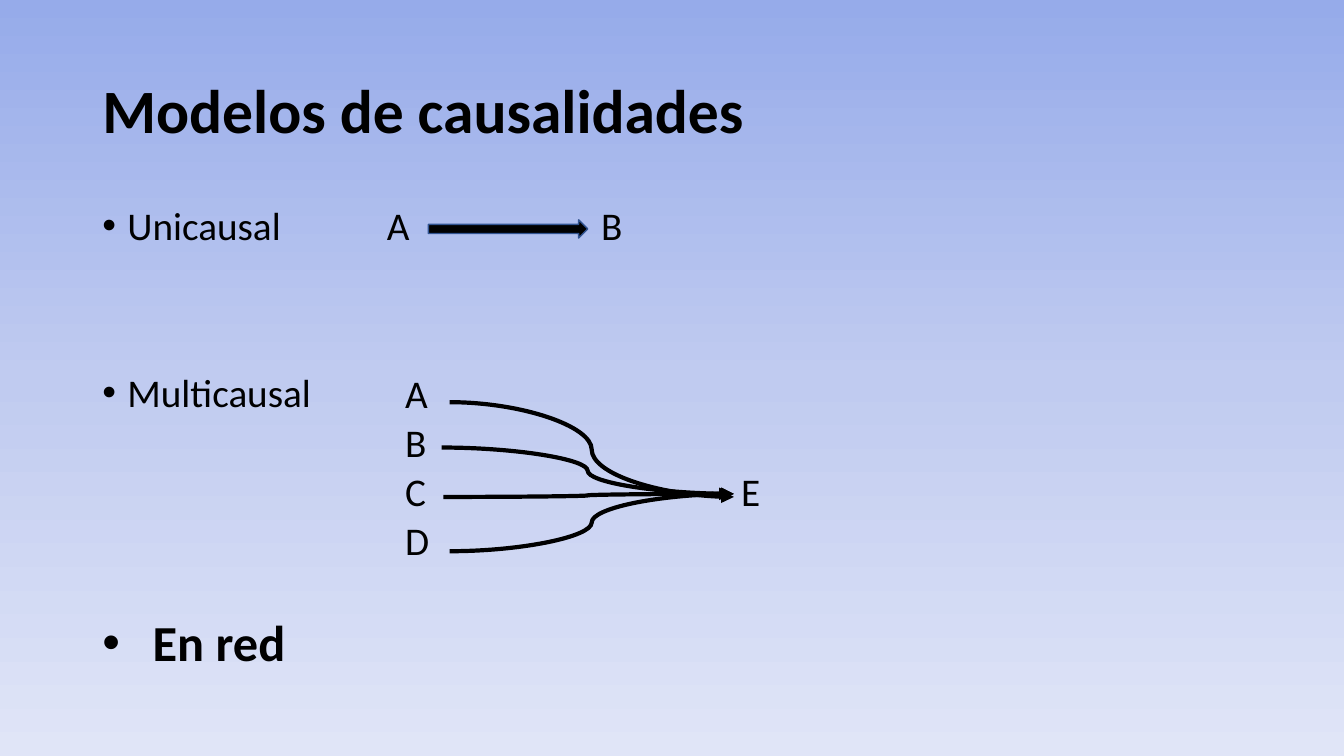
"""Slide on causality models: one cause, several causes and a network."""
from copy import deepcopy

from pptx import Presentation
from pptx.dml.color import RGBColor
from pptx.enum import shapes, text
from pptx.oxml import ns, xmlchemy
from pptx.util import Pt


def rgb(value):
    return RGBColor.from_string(value)


def add_text(left, top, width, height, paragraphs, inset=(0, 0), anchor="TOP"):
    tf = s.shapes.add_textbox(Pt(left), Pt(top), Pt(width), Pt(height)).text_frame
    tf.word_wrap = True
    tf.vertical_anchor = text.MSO_ANCHOR[anchor]
    tf.margin_left = tf.margin_right = Pt(inset[0])
    tf.margin_top = tf.margin_bottom = Pt(inset[1])
    for i, (words, size, bold, indent, before) in enumerate(paragraphs):
        p = tf.paragraphs[0] if i == 0 else tf.add_paragraph()
        p.line_spacing = 0.9
        p.space_before = Pt(before)
        if indent:
            pPr = p._p.get_or_add_pPr()
            pPr.set("marL", str(Pt(indent)))
            pPr.set("indent", str(-Pt(indent)))
            xmlchemy.OxmlElement("a:buFont")
            font = xmlchemy.OxmlElement("a:buFont")
            font.set("typeface", "Arial")
            bullet = xmlchemy.OxmlElement("a:buChar")
            bullet.set("char", "•")
            pPr.extend([font, bullet])
        r = p.add_run()
        r.text = words
        r.font.name = "Calibri"
        r.font.size = Pt(size)
        r.font.bold = bold
        r.font.color.rgb = rgb("000000")


prs = Presentation()
prs.slide_width, prs.slide_height = Pt(960), Pt(540)
s = prs.slides.add_slide(prs.slide_layouts[6])

fill = s.background.fill
fill.gradient()
fill.gradient_angle = 270
stops = s.element.find(".//" + ns.qn("a:gsLst"))
stops.insert(1, deepcopy(stops[0]))
for stop, position, color in zip(fill.gradient_stops, (0, 0.5, 1), ("96ABEA", "C0CBF0", "E0E5F7")):
    stop.position = position
    stop.color.rgb = rgb(color)

add_text(66, 28.8, 828, 104.4, [("Modelos de causalidades", 44, True, 0, 0)], (7.2, 3.6), "MIDDLE")
add_text(66, 144, 828, 368.6, [
    ("Unicausal", 28, False, 18, 0),
    ("Multicausal", 28, False, 18, 89),
    ("En red", 36, True, 36, 144.5),
], (7.2, 3.6))

row_top, row_step = 267.6, 35.1
nodes = [("A", 276.4, 147.6), ("B", 429.4, 147.6), ("E", 529.4, row_top + 2 * row_step)]
nodes += [(name, 289.4, row_top + i * row_step) for i, name in enumerate("ABCD")]
for name, left, top in nodes:
    add_text(left, top, 26, 31, [(name, 28, False, 0, 0)])

sp = s.shapes.add_shape(shapes.MSO_SHAPE.RIGHT_ARROW, Pt(306), Pt(157), Pt(113.8), Pt(13))
sp.shadow.inherit = False
sp.fill.solid()
sp.fill.fore_color.rgb = rgb("000000")
sp.line.color.rgb = rgb("325491")
sp.line.width = Pt(1)

curves = [
    (321.1, 287.3, 524.2, 355),
    (315.4, 319.7, 524.2, 352.8),
    (316.8, 355, 522.7, 352.8),
    (321.1, 393.8, 524.2, 352.8),
]
for ends in curves:
    cx = s.shapes.add_connector(shapes.MSO_CONNECTOR.CURVE, *[Pt(v) for v in ends])
    cx.line.color.rgb = rgb("000000")
    cx.line.width = Pt(3)
    tail = xmlchemy.OxmlElement("a:tailEnd")
    tail.set("type", "triangle")
    cx.line._get_or_add_ln().append(tail)
    cx._element.spPr.append(xmlchemy.OxmlElement("a:effectLst"))

prs.save("out.pptx")
